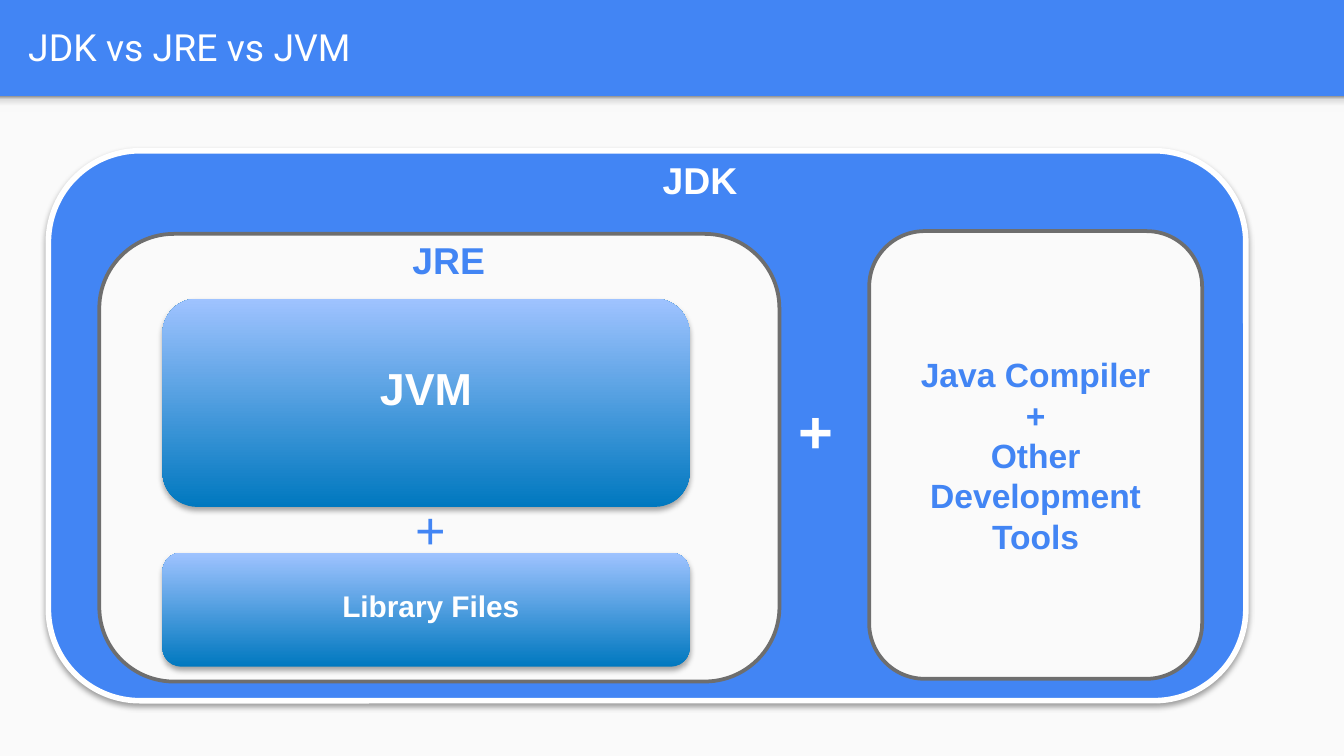
from dataclasses import dataclass

from lxml import etree
from pptx import Presentation, util as u
from pptx.dml.color import RGBColor
from pptx.enum import shapes, text
from pptx.oxml import ns

BLUE, WHITE, PALE, GREY = "4285F4", "FFFFFF", "FAFAFA", "6E6E6E"
RECT, ROUND = shapes.MSO_SHAPE.RECTANGLE, shapes.MSO_SHAPE.ROUNDED_RECTANGLE
LEFT, MID = text.PP_ALIGN.LEFT, text.PP_ALIGN.CENTER
GLOSS = [(0, "0078BF"), (100, "9FC3FF")]
FADE = [(0, "F9F9F9"), (36, "F9F9F9"), (80, "DEDEDE"), (100, "999999")]


@dataclass
class Box:
    x: float
    y: float
    w: float
    h: float

    def cut(self, x, y, w, h):
        """Return an inner box given in percent of this one."""
        return Box(self.x + self.w * x / 100, self.y + self.h * y / 100,
                   self.w * w / 100, self.h * h / 100)

    def inch(self):
        return [u.Inches(v) for v in (self.x, self.y, self.w, self.h)]


def hue(code):
    return RGBColor.from_string(code)


def node(root, tag, **attrs):
    return etree.SubElement(root, ns.qn(tag), {k: str(v) for k, v in attrs.items()})


def blend(shape, stops):
    """Fill from the bottom up with the given colour stops."""
    shape.fill.gradient()
    shape.fill.gradient_angle = 90
    stem = shape._element.spPr.find(".//" + ns.qn("a:gsLst"))
    for old in list(stem):
        stem.remove(old)
    for pos, code in stops:
        node(node(stem, "a:gs", pos=pos * 1000), "a:srgbClr", val=code)


def shade(shape, alpha, dist):
    """Cast a soft shadow straight down."""
    root = shape._element.spPr.find(ns.qn("a:effectLst"))
    cast = node(root, "a:outerShdw", blurRad=u.Pt(3.1), dist=u.Pt(dist),
                dir=5400000, algn="ctr", rotWithShape=0)
    tint = node(cast, "a:srgbClr", val="000000")
    node(tint, "a:alpha", val=alpha * 1000)


def panel(slide, box, fill, kind=ROUND, line=None, width=0):
    shape = slide.shapes.add_shape(kind, *box.inch())
    shape.shadow.inherit = False
    if isinstance(fill, list):
        blend(shape, fill)
    else:
        shape.fill.solid()
        shape.fill.fore_color.rgb = hue(fill)
    if line:
        shape.line.color.rgb = hue(line)
        shape.line.width = u.Pt(width)
    else:
        shape.line.fill.background()
    return shape


def write(shape, lines, size, code, align=LEFT, bold=True, font="Arial"):
    frame = shape.text_frame
    frame.word_wrap = True
    for i, words in enumerate(lines):
        par = frame.add_paragraph() if i else frame.paragraphs[0]
        par.alignment = align
        run = par.add_run()
        run.text = words
        run.font.name, run.font.size, run.font.bold = font, u.Pt(size), bold
        run.font.color.rgb = hue(code)
    return frame


def label(slide, box, words, size, code, bold=True):
    write(slide.shapes.add_textbox(*box.inch()), [words], size, code, bold=bold)


def header(slide, page):
    # Pale page area and the fading edge below the blue band
    panel(slide, page.cut(0, 12.75, 100, 87.25), PALE, RECT)
    panel(slide, page.cut(0, 12.75, 100, 2.1), FADE, RECT)
    title = slide.shapes.title
    title.left, title.top, title.width, title.height = page.cut(1.1, 0.3, 96.5, 11.7).inch()
    frame = write(title, ["JDK vs JRE vs JVM"], 20, WHITE, bold=False, font="Roboto")
    frame.vertical_anchor = text.MSO_ANCHOR.MIDDLE
    frame.margin_top = frame.margin_bottom = u.Inches(0.1)


def runtime(slide, box):
    # JRE: virtual machine plus libraries
    panel(slide, box, PALE, line=GREY, width=2)
    label(slide, box.cut(44.1, -0.7, 19.8, 13.2), "JRE", 20, BLUE)
    core = panel(slide, box.cut(9.3, 14.5, 77.5, 46.5), GLOSS)
    shade(core, 35, 1.8)
    frame = write(core, ["JVM"], 24, WHITE, MID)
    frame.vertical_anchor = text.MSO_ANCHOR.MIDDLE
    frame.margin_bottom = u.Inches(0.27)
    files = box.cut(9.3, 71.2, 77.5, 25.5)
    shade(panel(slide, files, GLOSS), 35, 1.8)
    label(slide, files.cut(31.6, 24.7, 41.6, 43.5), "Library Files", 16, WHITE)
    label(slide, box.cut(44.5, 57.4, 8.7, 17.1), "+", 28, BLUE, bold=False)


def tools(slide, box):
    # Compiler and other tools
    card = panel(slide, box, PALE, line=GREY, width=2)
    lines = ["Java Compiler", "+", "Other", "Development", "Tools"]
    write(card, lines, 18, BLUE, MID).vertical_anchor = text.MSO_ANCHOR.MIDDLE


def kit(slide, box):
    # JDK: the outer frame
    shade(panel(slide, box, BLUE, line=WHITE, width=3), 38, 1.6)
    label(slide, box.cut(50.2, 0, 10.2, 10.8), "JDK", 20, WHITE)
    runtime(slide, box.cut(4.25, 15.1, 56.8, 81.4))
    tools(slide, box.cut(68.55, 14.6, 27.8, 81.4))
    label(slide, box.cut(61.5, 43, 4.9, 15.6), "+", 32, WHITE)


def main():
    deck = Presentation()
    page = Box(0, 0, 10, 10 * 9 / 16)
    deck.slide_width, deck.slide_height = page.inch()[2:]
    slide = deck.slides.add_slide(deck.slide_layouts[5])
    slide.background.fill.solid()
    slide.background.fill.fore_color.rgb = hue(BLUE)
    header(slide, page)
    kit(slide, page.cut(3.6, 19.95, 89.1, 72.75))
    deck.save("out.pptx")


if __name__ == "__main__":
    main()
